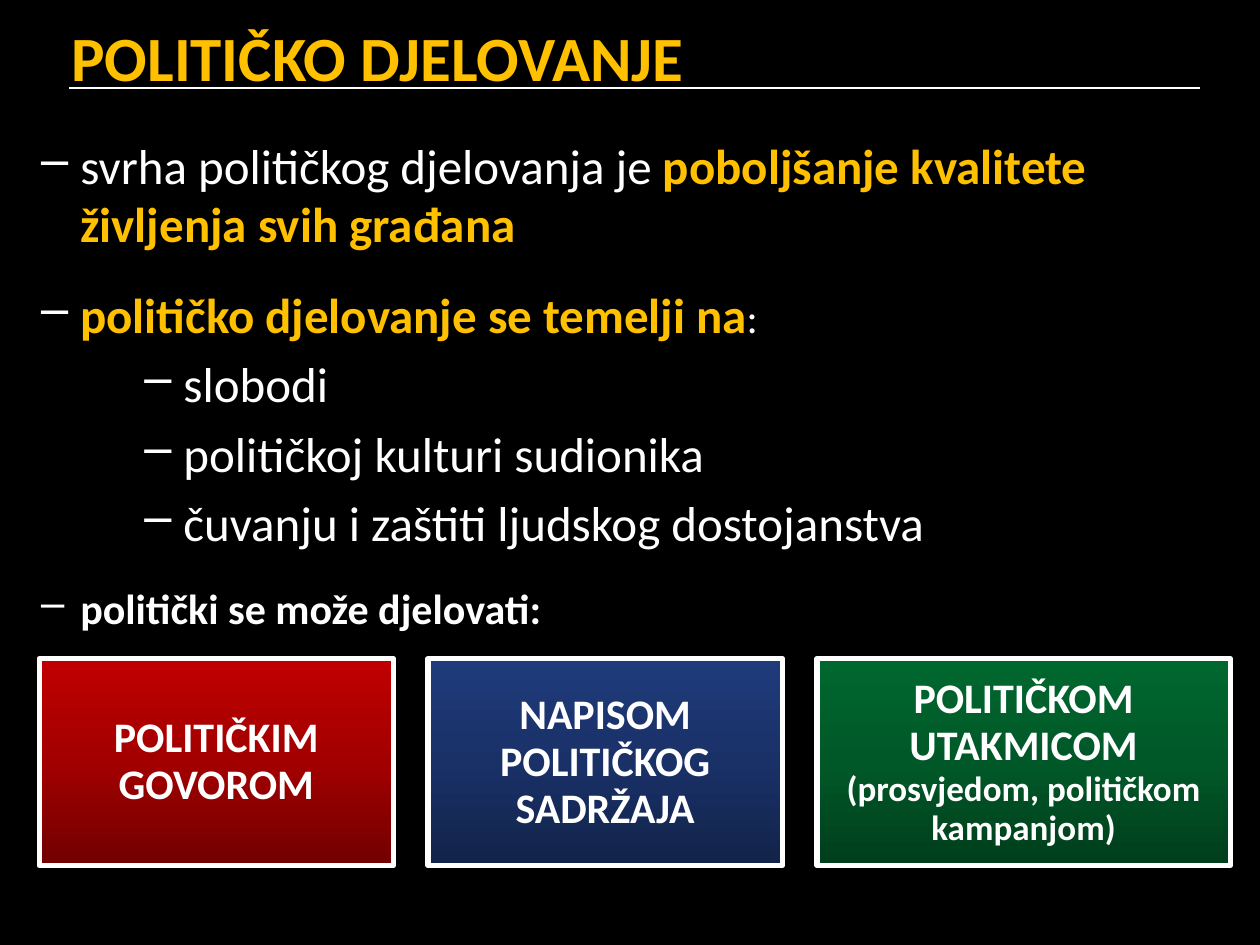
import copy

import pptx
import pptx.dml.color
import pptx.enum.shapes
import pptx.enum.text
import pptx.oxml
import pptx.oxml.ns
import pptx.util

Cm = pptx.util.Cm
Pt = pptx.util.Pt
qn = pptx.oxml.ns.qn

HUES = {
    "black": "000000",
    "white": "FFFFFF",
    "gold": "FFC000",
    # dark, middle and light stop of each card
    "red": ("720000", "A20000", "C00000"),
    "blue": ("122349", "1A3168", "1F3B7B"),
    "green": ("003E1C", "005828", "00682F"),
}

# Each paragraph: level, runs of (text, size, colour, bold)
POINTS = [
    (0, [("svrha političkog djelovanja je ", 28, "white", False),
         ("poboljšanje kvalitete življenja svih građana", 28, "gold", True)]),
    (0, [("političko djelovanje se temelji na", 28, "gold", True),
         (":", 24, "white", False)]),
    (1, [("slobodi", 28, "white", False)]),
    (1, [("političkoj kulturi sudionika", 28, "white", False)]),
    (1, [("čuvanju i zaštiti ljudskog dostojanstva", 28, "white", False)]),
    (0, [("politički se može djelovati:", 24, "white", True)]),
]

# Each card: colour, width in cm, runs
CARDS = [
    ("red", 7.14, [("POLITIČKIM GOVOROM", 24, "white", True)]),
    ("blue", 7.14, [("NAPISOM POLITIČKOG SADRŽAJA", 24, "white", True)]),
    ("green", 8.33, [("POLITIČKOM UTAKMICOM ", 24, "white", True),
                     ("(prosvjedom, političkom kampanjom)", 20, "white", True)]),
]


def rgb(code):
    return pptx.dml.color.RGBColor.from_string(code)


def write(para, runs):
    for text, size, hue, bold in runs:
        run = para.add_run()
        run.text = text
        font = run.font
        font.name, font.size, font.bold = "Calibri", Pt(size), bold
        font.color.rgb = rgb(HUES[hue])


def dash(para, left):
    """Hang a white dash in front of the paragraph."""
    props = para._p.get_or_add_pPr()
    props.set("marL", str(Cm(left)))
    props.set("indent", str(-Cm(0.79)))
    space = pptx.oxml.ns.nsdecls("a")
    props.append(pptx.oxml.parse_xml(
        f'<a:buClr {space}><a:srgbClr val="{HUES["white"]}"/></a:buClr>'))
    props.append(pptx.oxml.parse_xml(f'<a:buChar {space} char="–"/>'))


def shade(shape, stops):
    """Fill from the first stop at the bottom to the last at the top."""
    shape.fill.gradient()
    shape.fill.gradient_angle = 90
    group = shape._element.spPr.find(".//" + qn("a:gsLst"))
    group.insert(1, copy.deepcopy(group[0]))
    for i, (stop, code) in enumerate(zip(shape.fill.gradient_stops, stops)):
        stop.color.rgb = rgb(code)
        stop.position = i / (len(stops) - 1)


def add_box(slide, left, top, width, height):
    box = slide.shapes.add_textbox(Cm(left), Cm(top), Cm(width), Cm(height))
    box.text_frame.word_wrap = True
    return box.text_frame


def add_title(slide, left, top, width, height):
    # Rule under the title
    base = top + 1.53
    line = slide.shapes.add_connector(
        pptx.enum.shapes.MSO_CONNECTOR.STRAIGHT,
        Cm(left + 0.2), Cm(base), Cm(left + 23), Cm(base))
    line.line.color.rgb = rgb(HUES["white"])
    line.line.width = Pt(1)
    line._element.spPr.append(pptx.oxml.parse_xml(
        f'<a:effectLst {pptx.oxml.ns.nsdecls("a")}/>'))

    frame = add_box(slide, left, top, width, height)
    write(frame.paragraphs[0], [("POLITIČKO DJELOVANJE", 36, "gold", True)])


def add_list(slide, left, top, width, height):
    frame = add_box(slide, left, top, width, height)
    for i, (level, runs) in enumerate(POINTS):
        para = frame.add_paragraph() if i else frame.paragraphs[0]
        para.level = level
        if i:
            para.space_before = Pt(6 if level else 18)
        dash(para, 2.87 if level else 0.79)
        write(para, runs)


def add_cards(slide, left, top, gap, height):
    for hue, width, runs in CARDS:
        card = slide.shapes.add_shape(
            pptx.enum.shapes.MSO_SHAPE.RECTANGLE,
            Cm(left), Cm(top), Cm(width), Cm(height))
        card.shadow.inherit = False
        shade(card, HUES[hue])
        card.line.color.rgb = rgb(HUES["white"])
        card.line.width = Pt(3)
        frame = card.text_frame
        frame.word_wrap = True
        frame.vertical_anchor = pptx.enum.text.MSO_ANCHOR.MIDDLE
        para = frame.paragraphs[0]
        para.alignment = pptx.enum.text.PP_ALIGN.CENTER
        para.line_spacing = 0.93
        write(para, runs)
        left += width + gap


def main():
    deck = pptx.Presentation()
    deck.slide_width, deck.slide_height = Cm(25.4), Cm(19.05)
    slide = deck.slides.add_slide(deck.slide_layouts[6])
    slide.background.fill.solid()
    slide.background.fill.fore_color.rgb = rgb(HUES["black"])

    add_title(slide, 1.19, 0.25, 24.2, 1.6)
    add_list(slide, 0.58, 2.6, 24.8, 15.67)
    add_cards(slide, 0.79, 13.28, 0.7, 4.17)
    deck.save("out.pptx")


if __name__ == "__main__":
    main()
